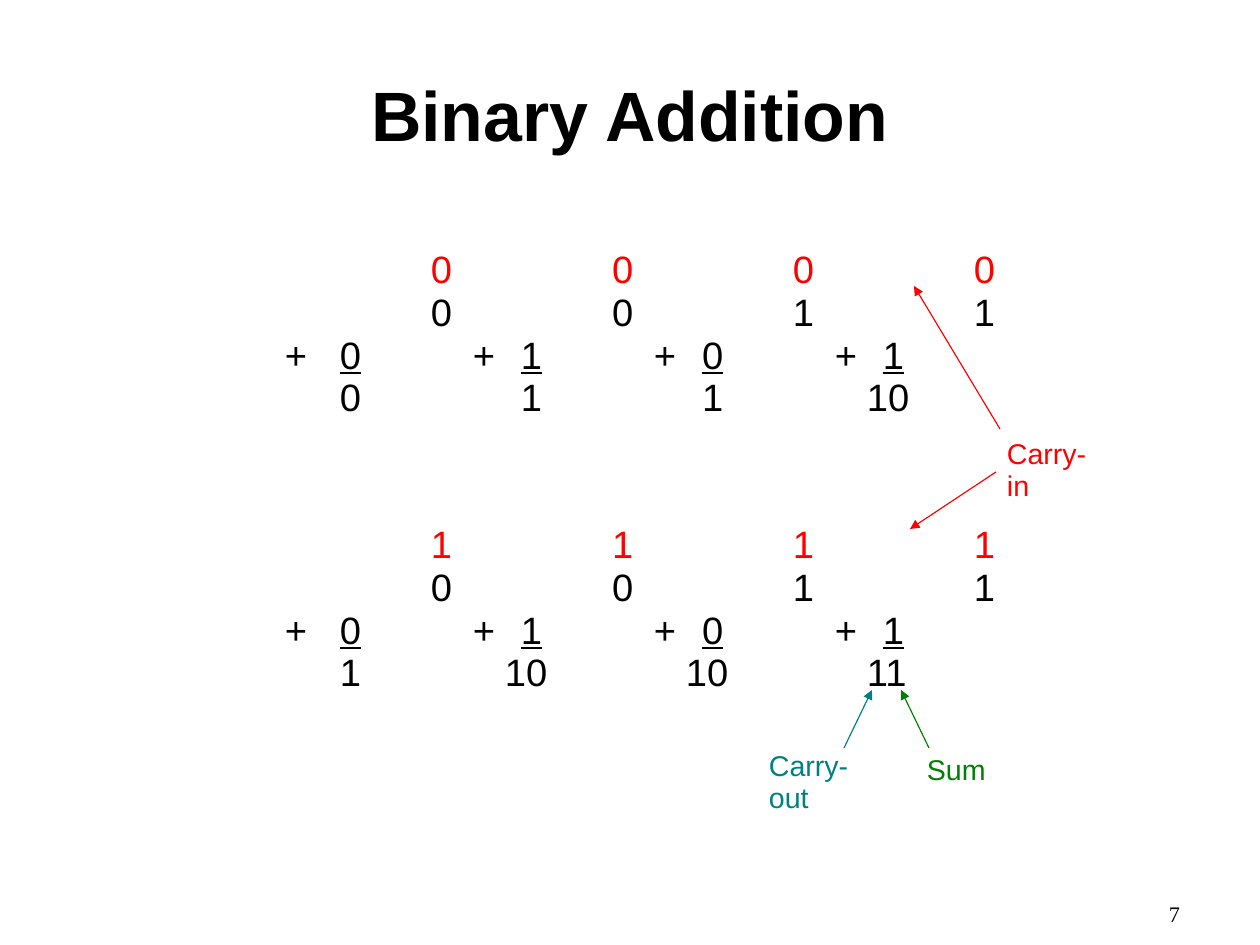
import pptx
import pptx.dml.color
import pptx.enum.shapes
import pptx.enum.text
import pptx.oxml.ns
import pptx.util
from lxml import etree

PX = 8000  # EMU per px
COLORS = {"black": "000000", "red": "FF0000", "teal": "008080", "green": "008000"}
ALIGN = pptx.enum.text.PP_ALIGN
LABEL_INSETS = (11, 8, 11, 6)

# Column rules inside a sum block
COLUMN_PITCH = 181
CARRY_X = 146
DIGIT_X = 55
PLUS_X = 7
TENS_X = 39


def px(length):
    return pptx.util.Emu(length * PX)


def rgb(name):
    return pptx.dml.color.RGBColor.from_string(COLORS[name])


def style(span, size, color="black", font="Arial", bold=False, underline=False):
    span.font.size = pptx.util.Pt(size)
    span.font.name = font
    span.font.color.rgb = rgb(color)
    span.font.bold = bold
    span.font.underline = underline


def add_frame(page, box, insets=(0, 0, 0, 0), wrap=True):
    frame = page.shapes.add_textbox(*map(px, box)).text_frame
    frame.word_wrap = wrap
    (frame.margin_left, frame.margin_top,
     frame.margin_right, frame.margin_bottom) = map(px, insets)
    return frame


def add_text(page, box, text, size, align=ALIGN.LEFT, insets=(0, 0, 0, 0),
             spacing=0.93, wrap=True, **look):
    frame = add_frame(page, box, insets, wrap)
    frame.text = text
    para = frame.paragraphs[0]
    para.alignment = align
    para.line_spacing = spacing
    style(para.runs[0], size, **look)
    return frame


def add_row(para, cells, color="black"):
    """Set one row of (position, text, underlined) cells on its own tab stops."""
    para.line_spacing = 0.93
    tab_list = etree.SubElement(para._p.get_or_add_pPr(), pptx.oxml.ns.qn("a:tabLst"))
    for position, text, underline in cells:
        if position:
            etree.SubElement(tab_list, pptx.oxml.ns.qn("a:tab"),
                             pos=str(position * PX), algn="l")
            tab = para.add_run()
            tab.text = "\t"
            style(tab, 24)
        span = para.add_run()
        span.text = text
        style(span, 24, color, underline=underline)


def add_sums(page, box, carry, sums):
    """Four column additions side by side: carry, first, second, result."""
    frame = add_frame(page, box, LABEL_INSETS)
    carries, firsts, seconds, results = [], [], [], []
    for column, (first, second, result) in enumerate(sums):
        shift = column * COLUMN_PITCH
        carries.append((CARRY_X + shift, carry, False))
        firsts.append((CARRY_X + shift, first, False))
        plus_x = PLUS_X + shift if column else 0
        seconds.append((plus_x, "+", False))
        seconds.append((DIGIT_X + shift, second, True))
        result_x = DIGIT_X if len(result) == 1 else TENS_X
        results.append((result_x + shift, result, False))
    rows = [(carries, "red"), (firsts, "black"), (seconds, "black"), (results, "black")]
    for index, (cells, color) in enumerate(rows):
        para = frame.add_paragraph() if index else frame.paragraphs[0]
        add_row(para, cells, color)


def add_arrow(page, start, end, color):
    arrow = page.shapes.add_connector(
        pptx.enum.shapes.MSO_CONNECTOR.STRAIGHT, *map(px, start + end))
    arrow.line.color.rgb = rgb(color)
    arrow.line.width = pptx.util.Pt(0.75)
    etree.SubElement(arrow.line._get_or_add_ln(), pptx.oxml.ns.qn("a:tailEnd"),
                     type="triangle")
    etree.SubElement(arrow._element.spPr, pptx.oxml.ns.qn("a:effectLst"))


def add_callout(page, box, text, color, arrows):
    """A coloured label with arrows given relative to its corner."""
    left, top = box[:2]
    add_text(page, box, text, 18, insets=LABEL_INSETS, wrap=False, color=color)
    for x1, y1, x2, y2 in arrows:
        add_arrow(page, (left + x1, top + y1), (left + x2, top + y2), color)


def main():
    deck = pptx.Presentation()
    deck.slide_width, deck.slide_height = px(1260), px(945)
    page = deck.slides.add_slide(deck.slide_layouts[6])

    # Title and page number
    title = add_text(page, (63, 43, 1134, 146), "Binary Addition", 44,
                     ALIGN.CENTER, insets=(0, 5, 0, 0), bold=True)
    title.vertical_anchor = pptx.enum.text.MSO_ANCHOR.MIDDLE
    add_text(page, (886, 902, 294, 65), "7", 14, ALIGN.RIGHT,
             spacing=0.95, font="Times New Roman")

    # Additions without and with a carry-in
    add_sums(page, (274, 242, 760, 182), "0",
             [("0", "0", "0"), ("0", "1", "1"), ("1", "0", "1"), ("1", "1", "10")])
    add_sums(page, (274, 517, 760, 182), "1",
             [("0", "0", "1"), ("0", "1", "10"), ("1", "0", "10"), ("1", "1", "11")])

    # Labels and arrows
    add_callout(page, (996, 431, 123, 43), "Carry-in", "red",
                [(4, -2, -82, -145), (0, 41, -86, 98)])
    add_callout(page, (758, 743, 141, 43), "Carry-out", "teal", [(86, 5, 114, -53)])
    add_callout(page, (916, 747, 81, 43), "Sum", "green", [(13, 1, -15, -57)])

    deck.save("out.pptx")


if __name__ == "__main__":
    main()
